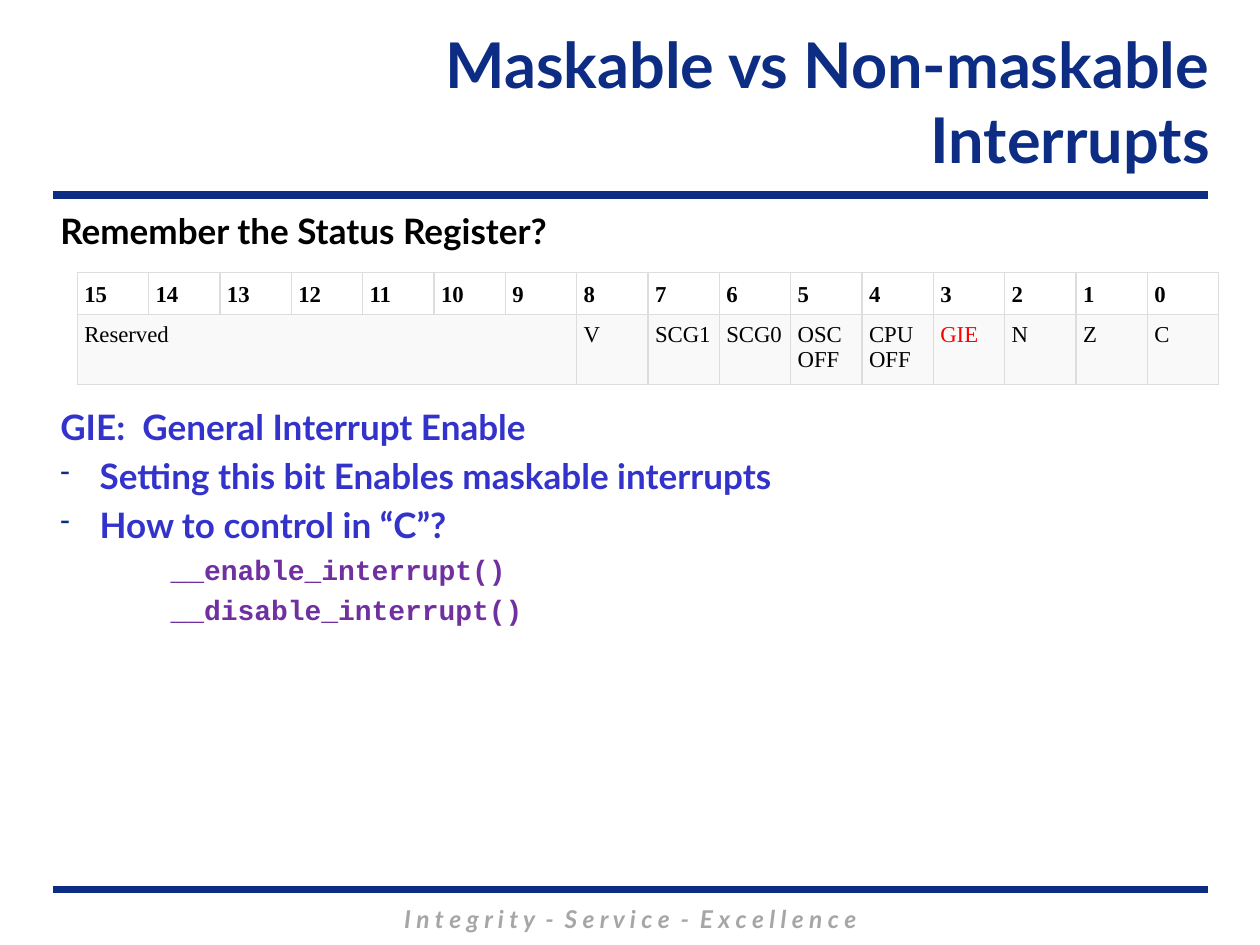
from lxml.etree import SubElement
from pptx import Presentation
from pptx.dml.color import RGBColor
from pptx.enum.shapes import MSO_CONNECTOR
from pptx.enum.text import MSO_ANCHOR, PP_ALIGN
from pptx.oxml.ns import qn
from pptx.util import Pt

NAVY, BLUE, PURPLE, GREY = "0C2D83", "3333CC", "7030A0", "A6A6A6"
BLACK, RED, WHITE, PALE, BORDER = "000000", "FF0000", "FFFFFF", "F9F9F9", "DDDDDD"


def paint(target, color):
    """Set a colour format from a hex string."""
    target.rgb = RGBColor.from_string(color)


def add_run(p, text, size, color, font="Lato", bold=True, italic=False):
    """Append one styled run to a paragraph."""
    r = p.add_run()
    r.text = text
    r.font.size, r.font.name = Pt(size), font
    r.font.bold, r.font.italic = bold, italic
    paint(r.font.color, color)


def add_text_box(s, box, anchor=MSO_ANCHOR.TOP):
    """Add a wrapping text box and return its text frame."""
    tf = s.shapes.add_textbox(*map(Pt, box)).text_frame
    tf.word_wrap = True
    tf.vertical_anchor = anchor
    return tf


def add_rule(s, x, y, width):
    """Draw one thick horizontal rule."""
    line = s.shapes.add_connector(MSO_CONNECTOR.STRAIGHT, Pt(x), Pt(y), Pt(x + width), Pt(y))
    line.line.width = Pt(4.5)
    paint(line.line.color, NAVY)
    SubElement(line._element.spPr, qn("a:effectLst"))


def add_header(s, x, y, width, height):
    """Place the right-aligned title with a rule below it."""
    tf = add_text_box(s, (x + 113.8, y, width - 105.8, height), MSO_ANCHOR.MIDDLE)
    p = tf.paragraphs[0]
    p.alignment = PP_ALIGN.RIGHT
    add_run(p, "Maskable vs Non-maskable Interrupts", 36, NAVY)
    add_rule(s, x, y + height + 10.8, width)


def add_footer(s, x, y, width):
    """Place the lower rule and the motto centred under it."""
    add_rule(s, x, y, width)
    p = add_text_box(s, (x + 72, y + 5, width - 144, 24.5)).paragraphs[0]
    p.alignment = PP_ALIGN.CENTER
    motto = "I n t e g r i t y  -  S e r v i c e  -  E x c e l l e n c e"
    add_run(p, motto, 14, GREY, italic=True)


def add_dash(p):
    """Give a paragraph a hanging dash bullet."""
    pPr = p._p.get_or_add_pPr()
    pPr.set("marL", str(Pt(22.5)))
    pPr.set("indent", str(Pt(-22.5)))
    SubElement(SubElement(pPr, qn("a:buClr")), qn("a:srgbClr"), val=NAVY)
    SubElement(pPr, qn("a:buSzPct"), val="80000")
    SubElement(pPr, qn("a:buChar"), char="-")


def add_body(s, x, y, width, height):
    """Write the body text, leaving room for the register table."""
    tf = add_text_box(s, (x, y, width, height))
    lines = [
        ("Remember the Status Register?", BLACK, 0, "plain"),
        ("GIE:  General Interrupt Enable", BLUE, 88, "plain"),
        ("Setting this bit Enables maskable interrupts", BLUE, 4, "dash"),
        ("How to control in “C”?", BLUE, 4, "dash"),
        ("__enable_interrupt()", PURPLE, 4, "code"),
        ("__disable_interrupt()", PURPLE, 4, "code"),
    ]
    for i, (text, color, gap, kind) in enumerate(lines):
        p = tf.add_paragraph() if i else tf.paragraphs[0]
        p.space_before = Pt(gap)
        if kind == "dash":
            add_dash(p)
        if kind == "code":
            p._p.get_or_add_pPr().set("marL", str(Pt(63)))
            add_run(p, text, 16, color, "Courier New")
        else:
            add_run(p, text, 20, color)


def fill_cell(cell, text, fill, color, bold, anchor):
    """Set the border, fill, insets and text of one table cell."""
    tcPr = cell._tc.get_or_add_tcPr()
    for side in ("lnL", "lnR", "lnT", "lnB"):
        ln = SubElement(tcPr, qn(f"a:{side}"), w=str(Pt(0.75)))
        SubElement(SubElement(ln, qn("a:solidFill")), qn("a:srgbClr"), val=BORDER)
    cell.fill.solid()
    paint(cell.fill.fore_color, fill)
    cell.margin_left = cell.margin_right = Pt(4)
    cell.margin_top = cell.margin_bottom = Pt(4.3)
    cell.vertical_anchor = anchor
    p = cell.text_frame.paragraphs[0]
    for i, part in enumerate(text.split()):
        if i:
            p.add_line_break()
        add_run(p, part, 13, color, "Times New Roman", bold)


def add_register(s, x, y, width, row_heights):
    """Draw the status register with bit numbers over bit names."""
    bits = [str(n) for n in range(15, -1, -1)]
    names = ["Reserved"] + [""] * 6 + "V,SCG1,SCG0,OSC OFF,CPU OFF,GIE,N,Z,C".split(",")
    frame = s.shapes.add_table(2, len(bits), Pt(x), Pt(y), Pt(width), Pt(sum(row_heights)))
    table = frame.table
    table.first_row = table.horz_banding = False
    for col in table.columns:
        col.width = Pt(width / len(bits))
    for row, height in zip(table.rows, row_heights):
        row.height = Pt(height)
    for c, (bit, name) in enumerate(zip(bits, names)):
        fill_cell(table.cell(0, c), bit, WHITE, BLACK, True, MSO_ANCHOR.BOTTOM)
        color = RED if name == "GIE" else BLACK
        fill_cell(table.cell(1, c), name, PALE, color, False, MSO_ANCHOR.TOP)
    table.cell(1, 0).merge(table.cell(1, 6))


def build():
    """Build and save the slide."""
    prs = Presentation()
    prs.slide_width, prs.slide_height = Pt(720), Pt(540)
    s = prs.slides.add_slide(prs.slide_layouts[6])
    add_footer(s, 30.2, 508.3, 660.2)
    add_header(s, 30.2, 14.4, 660.2, 86.4)
    add_body(s, 27.4, 115.9, 669.6, 383)
    add_register(s, 44.2, 155.6, 652.3, (23.6, 38.4))
    prs.save("out.pptx")


build()
